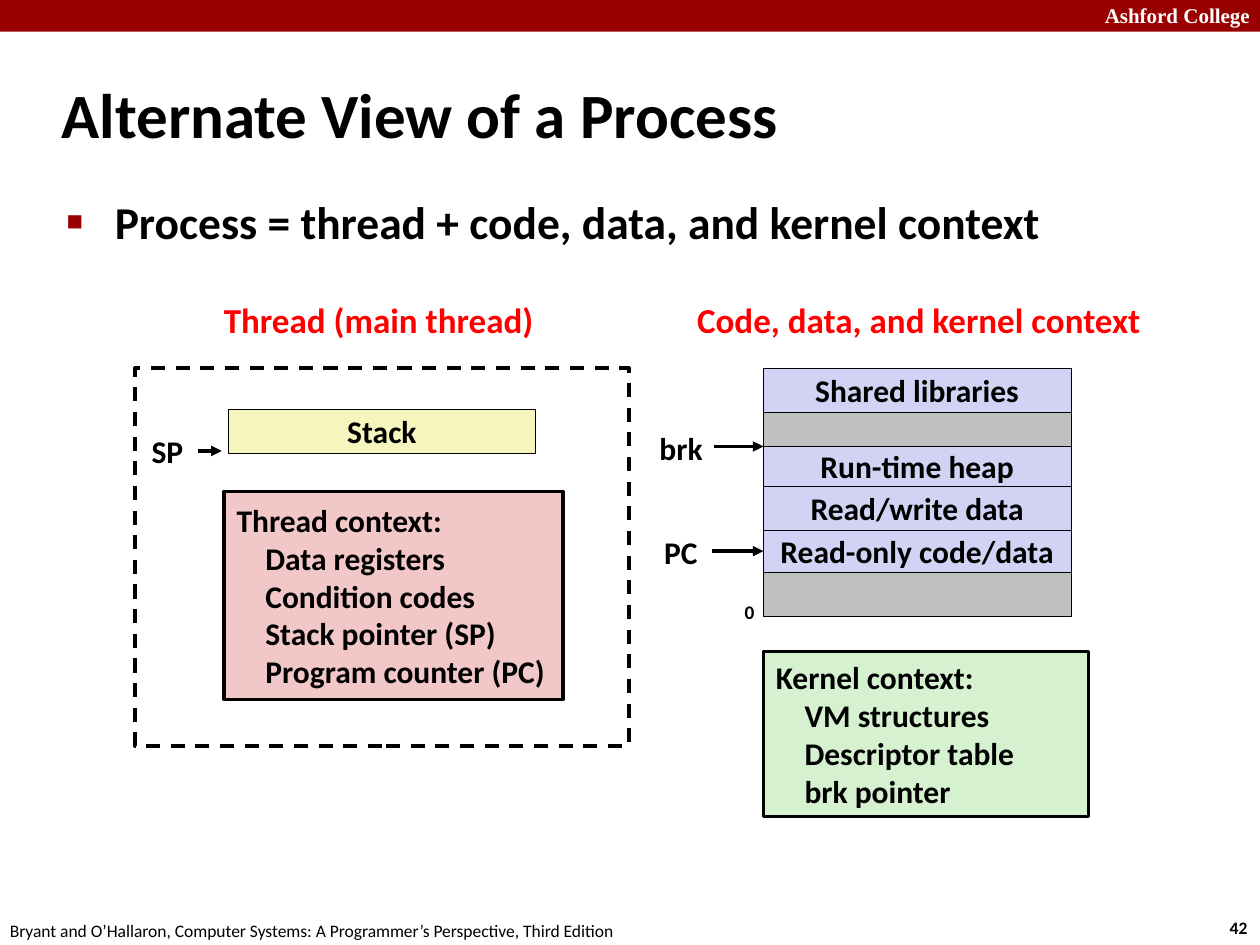
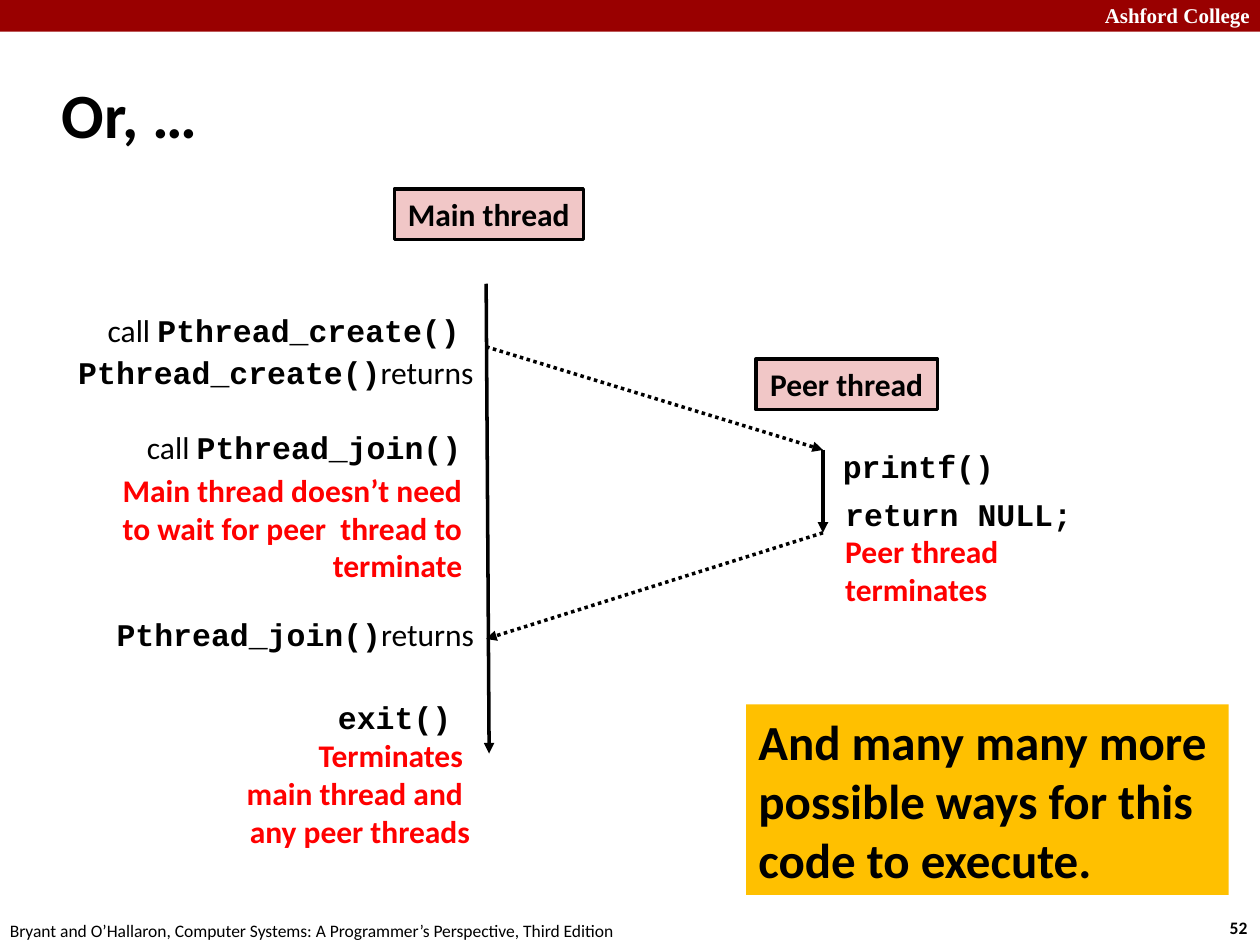
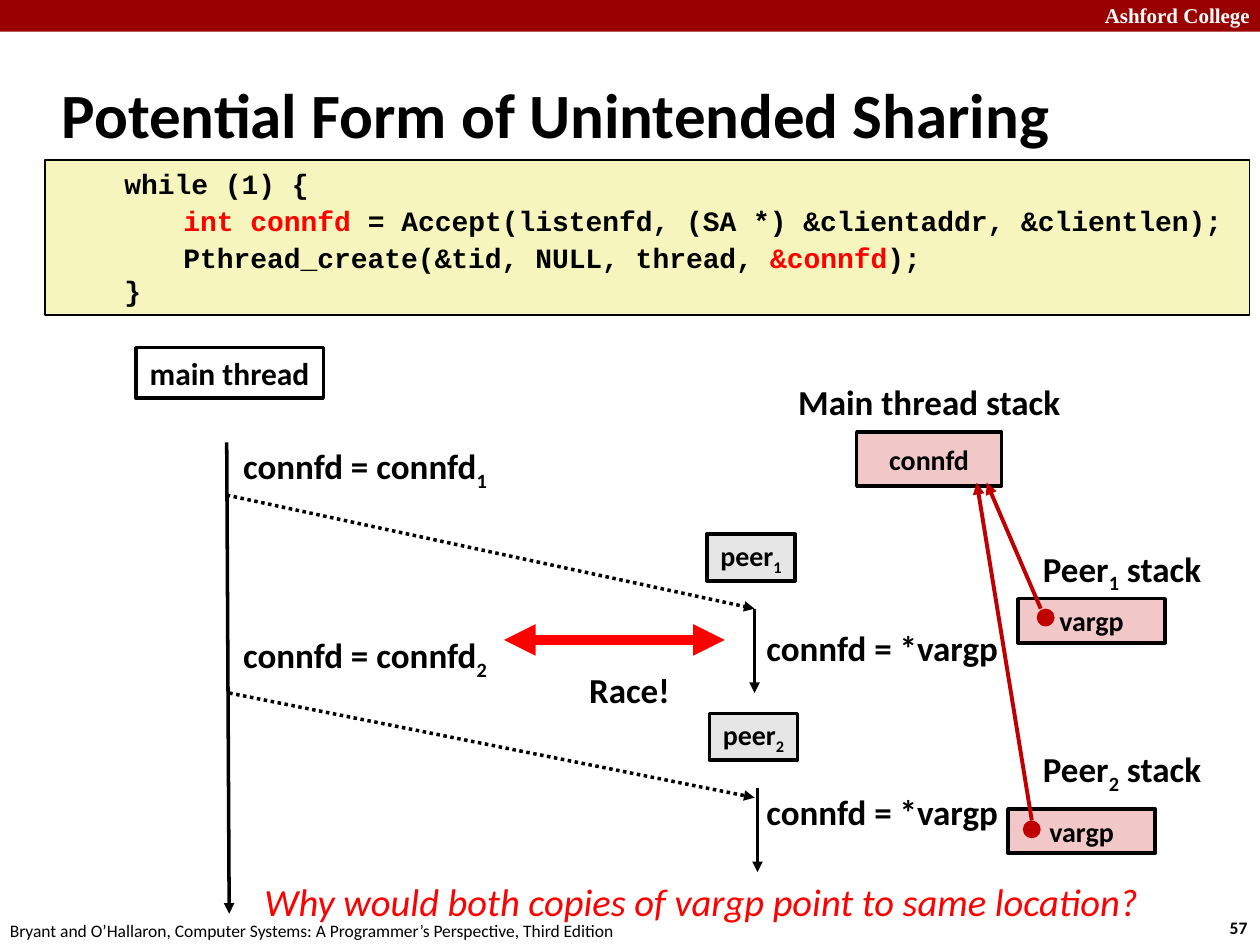
from itertools import accumulate

from lxml import etree
from pptx import Presentation
from pptx.dml.color import RGBColor
from pptx.enum.dml import MSO_LINE
from pptx.enum.shapes import MSO_CONNECTOR, MSO_SHAPE
from pptx.enum.text import MSO_ANCHOR, MSO_AUTO_SIZE, PP_ALIGN
from pptx.oxml.ns import qn
from pptx.util import Cm, Pt

RECTANGLE = MSO_SHAPE.RECTANGLE
OVAL = MSO_SHAPE.OVAL
STRAIGHT = MSO_CONNECTOR.STRAIGHT
DASH = MSO_LINE.DASH
DOTTED = MSO_LINE.ROUND_DOT
LEFT, CENTER, RIGHT = PP_ALIGN.LEFT, PP_ALIGN.CENTER, PP_ALIGN.RIGHT
MIDDLE, TOP = MSO_ANCHOR.MIDDLE, MSO_ANCHOR.TOP

BLACK, WHITE, RED = "000000", "FFFFFF", "FF0000"
CRIMSON, POINTER_RED = "990000", "C00000"
PINK, YELLOW, GREEN, LAVENDER = "F1C7C7", "F6F5BD", "D5F1CF", "D2D2F4"
GRAY, LIGHT_GRAY, ORANGE = "C0C0C0", "E6E6E6", "FFC000"

SANS, MONO, SERIF = "Calibri", "Courier New", "Times New Roman"
CODE = {"font": MONO, "bold": True}
PLAIN = {"bold": False}
SUBSCRIPT = {"baseline": -25000}
HIGHLIGHT = {"color": RED}

TITLE_LAYOUT, LIST_LAYOUT = 5, 1
FOOTER = "Bryant and O’Hallaron, Computer Systems: A Programmer’s Perspective, Third Edition"


def rgb(hex_string):
    return RGBColor.from_string(hex_string)


def format_run(run, size=18, font=SANS, color=BLACK, bold=True, italic=False, baseline=None):
    run.font.size = Pt(size)
    run.font.name = font
    run.font.bold = bold
    run.font.italic = italic
    run.font.color.rgb = rgb(color)
    if baseline:
        run.font._element.set("baseline", str(baseline))


def indent(paragraph, left, first=0):
    properties = paragraph._p.get_or_add_pPr()
    properties.set("marL", str(Cm(left)))
    properties.set("indent", str(Cm(first)))
    return properties


def write(shape, paragraphs, align=LEFT, wrap=False, anchor=MIDDLE, **style):
    frame = shape.text_frame
    frame.auto_size = MSO_AUTO_SIZE.NONE
    frame.word_wrap = wrap
    frame.vertical_anchor = anchor
    if isinstance(paragraphs, str):
        paragraphs = [paragraphs]
    for index, runs in enumerate(paragraphs):
        paragraph = frame.add_paragraph() if index else frame.paragraphs[0]
        paragraph.alignment = align
        for part in [runs] if isinstance(runs, str) else runs:
            text, changes = (part, {}) if isinstance(part, str) else part
            run = paragraph.add_run()
            run.text = text
            format_run(run, **{**style, **changes})
    return frame


def place(shape, left, top, width, height):
    shape.left, shape.top = Cm(left), Cm(top)
    shape.width, shape.height = Cm(width), Cm(height)


def add_text(slide, box, paragraphs, **options):
    text_box = slide.shapes.add_textbox(*map(Cm, box))
    write(text_box, paragraphs, **options)


def add_box(slide, box, fill=None, line=BLACK, line_width=2, dash=None, kind=RECTANGLE):
    shape = slide.shapes.add_shape(kind, *map(Cm, box))
    shape.shadow.inherit = False
    if fill:
        shape.fill.solid()
        shape.fill.fore_color.rgb = rgb(fill)
    else:
        shape.fill.background()
    if line:
        shape.line.color.rgb = rgb(line)
        shape.line.width = Pt(line_width)
        if dash:
            shape.line.dash_style = dash
    else:
        shape.line.fill.background()
    return shape


def add_label_box(slide, box, text, fill=None, line_width=2, size=18):
    shape = add_box(slide, box, fill, line_width=line_width)
    write(shape, text, align=CENTER, size=size)
    return shape


def add_context_box(slide, box, heading, entries, fill):
    frame = write(add_box(slide, box, fill), [heading, *entries], wrap=True)
    for paragraph in frame.paragraphs[1:]:
        indent(paragraph, 0.58)


def add_arrow(slide, start, end, color=BLACK, width=2, dash=None, both_ends=False):
    connector = slide.shapes.add_connector(STRAIGHT, *map(Cm, (*start, *end)))
    connector.line.color.rgb = rgb(color)
    connector.line.width = Pt(width)
    if dash:
        connector.line.dash_style = dash
    properties = connector._element.spPr
    line = properties.find(qn("a:ln"))
    for tag in ("a:headEnd", "a:tailEnd") if both_ends else ("a:tailEnd",):
        etree.SubElement(line, qn(tag)).set("type", "triangle")
    etree.SubElement(properties, qn("a:effectLst"))
    return connector


def add_bullet_list(slide, entries):
    body = slide.placeholders[1]
    place(body, 1.09, 3.78, 21.95, 13.82)
    frame = write(body, entries, wrap=True, anchor=TOP, size=26)
    for paragraph in frame.paragraphs:
        paragraph.space_before = Pt(5)
        properties = indent(paragraph, 0.97, -0.97)
        bullet_color = etree.SubElement(properties, qn("a:buClr"))
        etree.SubElement(bullet_color, qn("a:srgbClr")).set("val", CRIMSON)
        etree.SubElement(properties, qn("a:buSzPct")).set("val", "60000")
        etree.SubElement(properties, qn("a:buChar")).set("char", "■")


def add_slide(presentation, title, number, layout=TITLE_LAYOUT):
    slide = presentation.slides.add_slide(presentation.slide_layouts[layout])
    add_box(slide, (0, 0, 25.4, 0.64), CRIMSON, line=None)
    add_text(slide, (21.95, -0.08, 3.5, 0.76), "Ashford College", align=RIGHT,
             size=12, font=SERIF, color=WHITE)
    add_text(slide, (24.54, 18.36, 0.94, 0.69), str(number), size=10)
    add_text(slide, (-0.05, 18.41, 12.9, 0.69), FOOTER, size=10, bold=False)
    place(slide.shapes.title, 0.99, 1.22, 21.08, 2.11)
    write(slide.shapes.title, title, wrap=True, size=36)
    return slide


def build_process_view(presentation):
    slide = add_slide(presentation, "Alternate View of a Process", 42, LIST_LAYOUT)
    add_bullet_list(slide, ["Process = thread + code, data, and kernel context"])

    for left, width, heading in (
        (4.22, 6.83, "Thread (main thread)"),
        (13.66, 9.73, "Code, data, and kernel context"),
    ):
        add_text(slide, (left, 5.89, width, 1.12), heading, align=CENTER, size=20, color=RED)

    add_box(slide, (2.72, 7.42, 9.96, 7.62), dash=DASH)
    add_label_box(slide, (4.6, 8.25, 6.2, 0.89), "Stack", YELLOW, line_width=0.25)
    add_context_box(slide, (4.52, 9.91, 6.83, 4.19), "Thread context:",
                    ["Data registers", "Condition codes", "Stack pointer (SP)",
                     "Program counter (PC)"], PINK)

    regions = [("Shared libraries", 0.89), ("", 0.69), ("Run-time heap", 0.8),
               ("Read/write data", 0.89), ("Read-only code/data", 0.84), ("", 0.89)]
    tops = accumulate((height for _, height in regions), initial=7.42)
    memory = {}
    for (name, height), top in zip(regions, tops):
        box = (15.39, top, 6.2, height)
        if name:
            memory[name] = add_label_box(slide, box, name, LAVENDER, line_width=0.25)
        else:
            add_box(slide, box, GRAY, line_width=0.25)
    add_text(slide, (14.76, 11.96, 0.71, 0.74), "0", size=11)
    add_context_box(slide, (15.39, 13.13, 6.55, 3.33), "Kernel context:",
                    ["VM structures", "Descriptor table", "brk pointer"], GREEN)

    registers = {}
    for name, left, top, width, start, end, level in (
        ("SP", 2.79, 8.59, 1.17, 3.99, 4.47, 9.09),
        ("brk", 13.03, 8.53, 1.4, 14.4, 15.39, 9),
        ("PC", 13.13, 10.62, 1.19, 14.35, 15.39, 11.11),
    ):
        add_text(slide, (left, top, width, 1.02), name, align=CENTER)
        registers[name] = add_arrow(slide, (start, level), (end, level))
    registers["PC"].end_connect(memory["Read-only code/data"], 1)


def build_thread_timeline(presentation):
    slide = add_slide(presentation, "Or, …", 52)
    add_label_box(slide, (7.95, 3.81, 3.81, 1.02), "Main thread", PINK)
    add_label_box(slide, (15.24, 7.24, 3.66, 1.02), "Peer thread", PINK)

    peer_start, peer_end = (16.59, 9.07), (16.59, 10.74)
    add_arrow(slide, (9.8, 5.72), (9.86, 15.19))
    add_arrow(slide, peer_start, peer_end)
    add_arrow(slide, (9.8, 6.99), peer_start, dash=DOTTED)
    add_arrow(slide, peer_end, (9.8, 12.88), dash=DOTTED)

    for left, top, width, runs in (
        (1.7, 6.15, 7.82, [("call ", PLAIN), ("Pthread_create()", CODE)]),
        (0.2, 6.99, 9.6, [("Pthread_create()", CODE), ("returns", PLAIN)]),
        (2.51, 8.51, 7.04, [("call ", PLAIN), ("Pthread_join()", CODE)]),
        (0.84, 12.27, 8.97, [("Pthread_join()", CODE), ("returns", PLAIN)]),
    ):
        add_text(slide, (left, top, width, 1.02), [runs], align=RIGHT, wrap=True)
    add_text(slide, (1.7, 9.35, 7.87, 2.57),
             "Main thread doesn’t need to wait for peer  thread to terminate",
             align=RIGHT, wrap=True, color=RED)
    add_text(slide, (4.7, 13.94, 5.03, 3.33),
             [[("exit() ", {**CODE, "color": BLACK})], "Terminates ",
              "main thread and ", "any peer threads"], align=RIGHT, color=RED)

    add_text(slide, (16.74, 8.89, 3.58, 1.02), "printf()", **CODE)
    add_text(slide, (16.79, 9.86, 5.28, 1.02), "return NULL;", **CODE)
    add_text(slide, (16.79, 10.59, 3.66, 1.8), ["Peer thread", "terminates"], color=RED)

    remark = add_box(slide, (15.04, 14.2, 9.73, 3.84), ORANGE, line=None)
    write(remark, "And many many more possible ways for this code to execute.",
          wrap=True, size=28)


def add_code_listing(slide):
    listing = add_box(slide, (0.91, 3.23, 24.28, 3.12), YELLOW, line_width=1)
    lines = [
        "while (1) {",
        [("int connfd ", HIGHLIGHT), "= Accept(listenfd, (SA *) &clientaddr, &clientlen);"],
        ["Pthread_create(&tid, NULL, thread, ", ("&connfd", HIGHLIGHT), ");"],
        "}",
    ]
    frame = write(listing, lines, wrap=True, anchor=TOP, size=16, **CODE)
    for paragraph in frame.paragraphs:
        indent(paragraph, 1.35)
    for paragraph in frame.paragraphs[1:3]:
        indent(paragraph, 2.54)
        paragraph.line_spacing = 1.1


def add_peer(slide, number, assign_top, spawn, spawn_end, peer_box, run_start, read_top):
    subscript = (str(number), SUBSCRIPT)
    left, top = run_start
    add_text(slide, (4.65, assign_top, 5.54, 1.12), [["connfd = connfd", subscript]], size=20)
    add_arrow(slide, spawn, spawn_end, dash=DOTTED)
    add_label_box(slide, (*peer_box, 1.78, 0.94), [["peer", subscript]], LIGHT_GRAY, size=16)
    add_arrow(slide, run_start, (left, top + 1.7))
    add_text(slide, (15.04, read_top, 5.41, 1.12), " connfd = *vargp", size=20)


def add_peer_stack(slide, number, label_top, box, dot, pointer_start, pointer_end):
    add_text(slide, (20.73, label_top, 3.78, 1.12),
             [["Peer", (str(number), SUBSCRIPT), " stack"]], align=CENTER, size=20)
    add_label_box(slide, (*box, 2.97, 0.89), "vargp", PINK, size=16)
    add_arrow(slide, pointer_start, pointer_end, POINTER_RED, 2.25)
    add_box(slide, (*dot, 0.36, 0.36), POINTER_RED, line=None, kind=OVAL)


def build_unintended_sharing(presentation):
    slide = add_slide(presentation, "Potential Form of Unintended Sharing", 57)
    add_code_listing(slide)
    add_label_box(slide, (2.74, 7.01, 3.78, 1.02), "main thread")
    add_arrow(slide, (4.57, 8.92), (4.62, 18.42))
    add_text(slide, (15.8, 7.54, 5.87, 1.12), "Main thread stack", align=CENTER, size=20)
    add_label_box(slide, (17.27, 8.71, 2.92, 1.09), "connfd", PINK, size=16)

    add_peer(slide, 1, 8.89, (4.57, 9.98), (15.21, 12.27), (14.25, 10.77), (15.21, 12.27), 12.5)
    add_peer(slide, 2, 12.7, (4.62, 13.97), (15.21, 16.08), (14.3, 14.38), (15.27, 15.88), 15.8)
    add_peer_stack(slide, 1, 10.95, (20.52, 12.07), (20.9, 12.27), (20.98, 12.27), (19.89, 9.73))
    add_peer_stack(slide, 2, 14.99, (20.32, 16.31), (20.62, 16.54), (20.8, 16.54), (19.69, 9.73))

    add_arrow(slide, (10.16, 12.9), (14.61, 12.9), RED, 6, both_ends=True)
    add_text(slide, (11.61, 13.34, 2.16, 1.12), "Race!", align=CENTER, size=20)
    add_text(slide, (5.08, 17.58, 19.02, 1.19),
             "Why would both copies of vargp point to same location?",
             size=22, color=RED, bold=False, italic=True)


def main():
    presentation = Presentation()
    presentation.slide_width, presentation.slide_height = Cm(25.4), Cm(19.05)
    build_process_view(presentation)
    build_thread_timeline(presentation)
    build_unintended_sharing(presentation)
    presentation.save("out.pptx")


if __name__ == "__main__":
    main()
